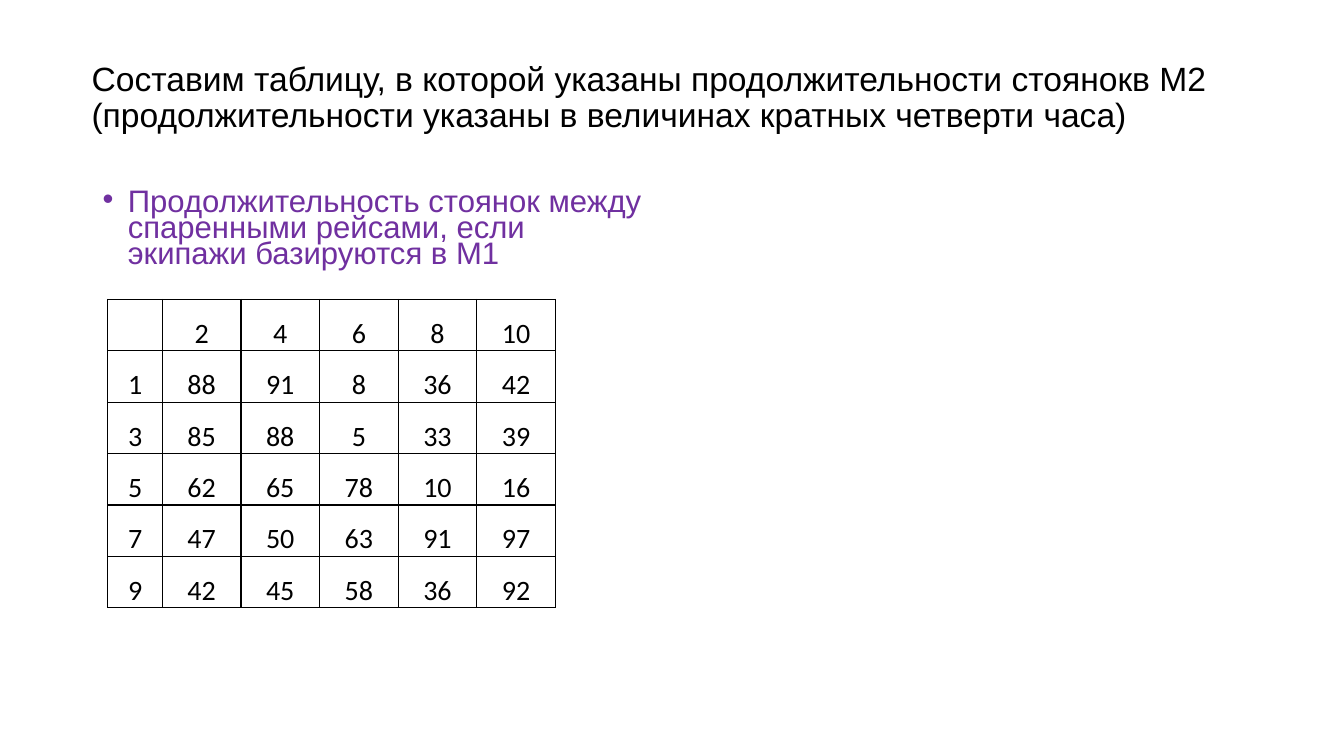
from lxml import etree
from pptx import Presentation
from pptx.dml.color import RGBColor
from pptx.enum import text as t
from pptx.oxml import ns
from pptx.util import Inches, Pt

HUES = {"ink": "000000", "note": "7030A0"}
HEAD = ("Составим таблицу, в которой указаны продолжительности стоянокв М2 "
        "(продолжительности указаны в величинах кратных четверти часа)")
NOTE = ("Продолжительность стоянок между спаренными рейсами, "
        "если экипажи базируются в М1")
STAYS = [
    ["", 2, 4, 6, 8, 10],
    [1, 88, 91, 8, 36, 42],
    [3, 85, 88, 5, 33, 39],
    [5, 62, 65, 78, 10, 16],
    [7, 47, 50, 63, 91, 97],
    [9, 42, 45, 58, 36, 92],
]


def style(para, face, size, hue, gap):
    para.line_spacing = gap
    font = para.font
    font.name, font.size = face, Pt(size)
    font.color.rgb = RGBColor.from_string(HUES[hue])


def add_text(slide, spot, words, size, hue, gap, dot=False):
    box = slide.shapes.add_textbox(*map(Inches, spot))
    frame = box.text_frame
    frame.word_wrap = True
    frame.vertical_anchor = t.MSO_ANCHOR.MIDDLE
    para = frame.paragraphs[0]
    para.text = words
    if dot:
        props = para._p.get_or_add_pPr()
        props.set("marL", str(Inches(0.25)))
        props.set("indent", str(-Inches(0.25)))
        etree.SubElement(props, ns.qn("a:buFont"), typeface="Arial")
        etree.SubElement(props, ns.qn("a:buChar"), char="•")
    style(para, "Arial", size, hue, gap)


def add_edges(cell):
    props = cell._tc.get_or_add_tcPr()
    # Borders must come before the fill
    for spot, side in enumerate(("lnL", "lnR", "lnT", "lnB")):
        line = etree.Element(ns.qn("a:" + side), w=str(Pt(1)))
        fill = etree.SubElement(line, ns.qn("a:solidFill"))
        etree.SubElement(fill, ns.qn("a:srgbClr"), val=HUES["ink"])
        props.insert(spot, line)


def fill_cell(cell, value, anchor):
    cell.fill.background()
    add_edges(cell)
    cell.margin_left = cell.margin_right = Inches(0.07)
    cell.margin_top = cell.margin_bottom = 0
    cell.vertical_anchor = anchor
    para = cell.text_frame.paragraphs[0]
    para.text = str(value)
    para.alignment = t.PP_ALIGN.CENTER
    style(para, "Calibri", 20, "ink", 1.5)


def add_grid(slide, left, top, widths, height, rows):
    size = (sum(widths), height * len(rows))
    table = slide.shapes.add_table(
        len(rows), len(widths), *map(Inches, (left, top, *size))).table
    table.first_row = table.horz_banding = False
    for col, width in zip(table.columns, widths):
        col.width = Inches(width)
    for r, row in enumerate(rows):
        table.rows[r].height = Inches(height)
        anchor = t.MSO_ANCHOR.MIDDLE if r else t.MSO_ANCHOR.TOP
        for c, value in enumerate(row):
            fill_cell(table.cell(r, c), value, anchor)


def main():
    deck = Presentation()
    deck.slide_width, deck.slide_height = Inches(13.33), Inches(7.5)
    slide = deck.slides.add_slide(deck.slide_layouts[6])

    # Note on the pairing of flights
    add_text(slide, (0.92, 1.84, 5.64, 0.9), NOTE, 22.2, "note", 0.7, dot=True)
    # Table of stay lengths
    add_grid(slide, 1.07, 2.97, [0.54] + [0.78] * 5, 0.51, STAYS)
    # Title
    add_text(slide, (0.81, 0.25, 11.5, 1.45), HEAD, 24, "ink", 0.9)

    deck.save("out.pptx")


if __name__ == "__main__":
    main()
